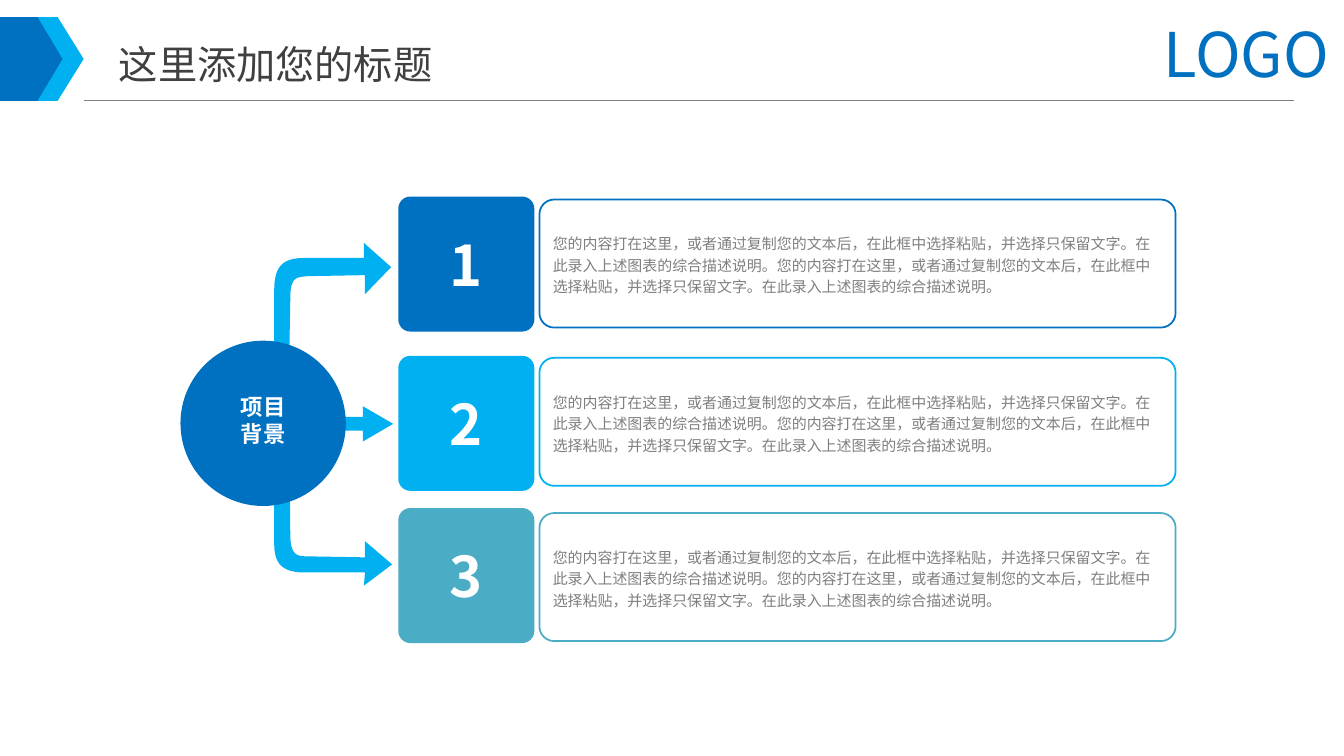
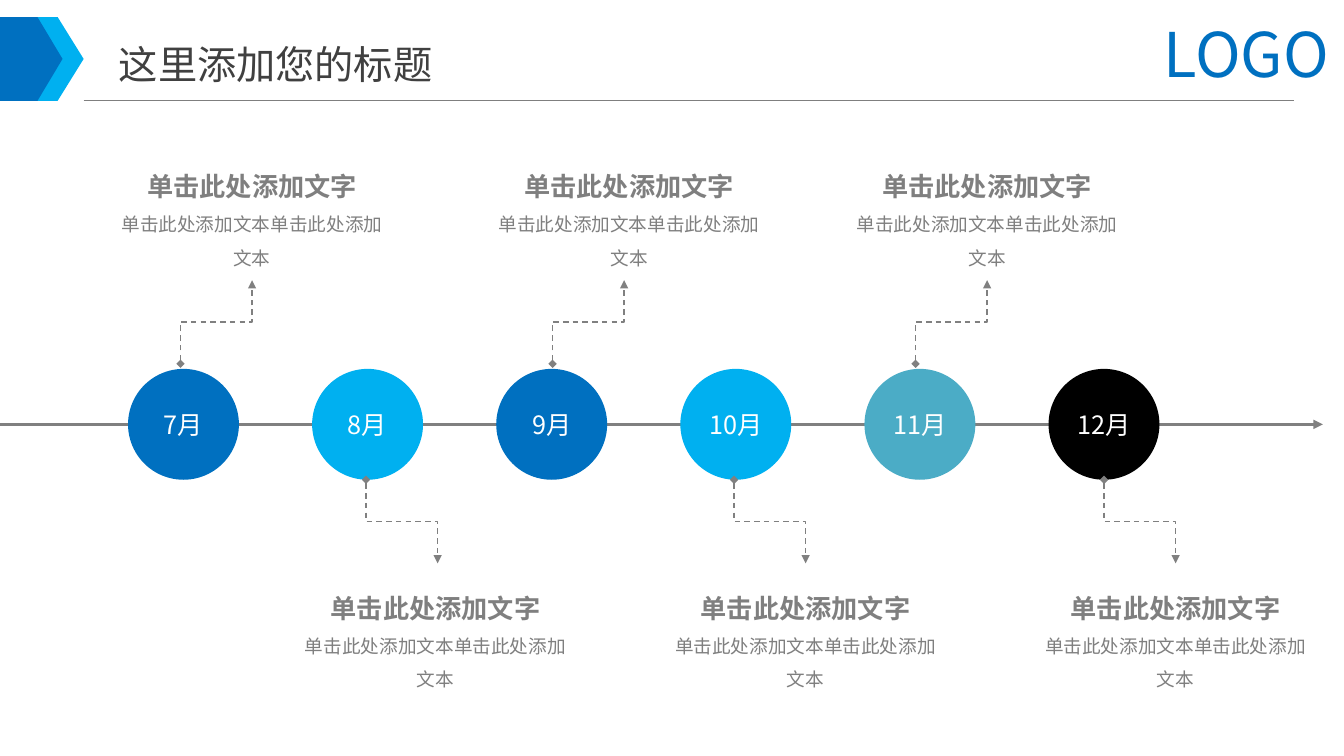
import dataclasses

import lxml.etree
import pptx
import pptx.dml.color
import pptx.enum.dml
import pptx.enum.shapes
import pptx.enum.text
import pptx.oxml.ns
import pptx.util

Inches = pptx.util.Inches
qn = pptx.oxml.ns.qn
SHAPE = pptx.enum.shapes.MSO_SHAPE
CONNECTOR = pptx.enum.shapes.MSO_CONNECTOR
ALIGN = pptx.enum.text.PP_ALIGN
ANCHOR = pptx.enum.text.MSO_ANCHOR


@dataclasses.dataclass(frozen=True)
class Theme:
    blue: str = "0070C0"
    sky: str = "00B0F0"
    teal: str = "4BACC6"
    black: str = "000000"
    white: str = "FFFFFF"
    title: str = "404040"
    text: str = "7F7F7F"
    line: str = "808080"
    font: str = "Noto Sans CJK SC"
    logo_font: str = "Noto Sans CJK KR"
    logo_size: float = 44
    number_size: float = 40
    title_size: float = 28
    heading_size: float = 18.7
    month_size: float = 18
    hub_size: float = 16
    caption_size: float = 13.3
    body_size: float = 10.7


THEME = Theme()

TITLE = "这里添加您的标题"
DESCRIPTION = "您的内容打在这里，或者通过复制您的文本后，在此框中选择粘贴，并选择只保留文字。在此录入上述图表的综合描述说明。" * 2
HEADING = "单击此处添加文字"
CAPTION = "单击此处添加文本" * 2

ROWS = [
    ("1", THEME.blue, 1.95, 1.98),
    ("2", THEME.sky, 3.53, 3.55),
    ("3", THEME.teal, 5.04, 5.09),
]

MONTHS = [
    ("7月", THEME.blue, 1.79, 1.1),
    ("8月", THEME.sky, 3.63, 2.92),
    ("9月", THEME.blue, 5.48, 4.84),
    ("10月", THEME.sky, 7.28, 6.59),
    ("11月", THEME.teal, 9.08, 8.39),
    ("12月", THEME.black, 10.95, 10.26),
]

UPPER_ARROW = [
    (0.14, 1.66), (0.16, 0.54), (0.16, 0.34, 0.22, 0.34, 0.33, 0.33),
    (0.9, 0.32), (0.9, 0.51), (1.16, 0.24), (0.89, 0), (0.89, 0.15),
    (0.29, 0.15), (0.07, 0.15, 0, 0.25, 0, 0.47), (0, 1.68),
]
LOWER_ARROW = [
    (0.15, 0.19), (0.16, 1.16), (0.17, 1.33, 0.23, 1.34, 0.33, 1.34),
    (0.9, 1.35), (0.9, 1.19), (1.17, 1.42), (0.89, 1.63), (0.9, 1.5),
    (0.3, 1.5), (0.08, 1.5, 0, 1.41, 0, 1.22), (0, 0.17),
]


def rgb(color):
    return pptx.dml.color.RGBColor.from_string(color)


def inches(*lengths):
    return [Inches(length) for length in lengths]


def set_frame(shape, anchor=ANCHOR.MIDDLE, margins=(0.1, 0.05, 0.1, 0.05), wrap=True):
    frame = shape.text_frame
    frame.auto_size = pptx.enum.text.MSO_AUTO_SIZE.NONE
    frame.word_wrap = wrap
    frame.vertical_anchor = anchor
    (frame.margin_left, frame.margin_top,
     frame.margin_right, frame.margin_bottom) = inches(*margins)


def add_text(shape, text, *, size, color, bold=False, align=ALIGN.CENTER,
             spacing=1.0, font=THEME.font):
    frame = shape.text_frame
    para = frame.add_paragraph() if frame.text else frame.paragraphs[0]
    para.alignment = align
    para.line_spacing = spacing
    span = para.add_run()
    span.text = text
    span.font.size = pptx.util.Pt(size)
    span.font.bold = bold
    span.font.color.rgb = rgb(color)
    span.font.name = font
    for properties in shape.element.iter(qn("a:rPr")):
        if properties.find(qn("a:ea")) is None:
            lxml.etree.SubElement(properties, qn("a:ea")).set("typeface", font)


def style_shape(shape, fill=None, outline=None):
    shape.shadow.inherit = False
    if fill:
        shape.fill.solid()
        shape.fill.fore_color.rgb = rgb(fill)
    else:
        shape.fill.background()
    if outline:
        shape.line.color.rgb = rgb(outline)
        shape.line.width = pptx.util.Pt(1.25)
    else:
        shape.line.fill.background()


def add_box(page, kind, box, fill=None, outline=None, adjustments=()):
    shape = page.shapes.add_shape(kind, *inches(*box))
    style_shape(shape, fill, outline)
    for index, value in enumerate(adjustments):
        shape.adjustments[index] = value
    return shape


def add_line(page, start, end, *, color, width, kind=CONNECTOR.STRAIGHT,
             dashed=False, head=None, tail=None):
    connector = page.shapes.add_connector(kind, *inches(*start, *end))
    connector.line.color.rgb = rgb(color)
    connector.line.width = pptx.util.Pt(width)
    if dashed:
        connector.line.dash_style = pptx.enum.dml.MSO_LINE.DASH
    properties = connector.element.spPr
    outline = properties.find(qn("a:ln"))
    for tag, arrow in (("a:headEnd", head), ("a:tailEnd", tail)):
        if arrow:
            lxml.etree.SubElement(outline, qn(tag)).set("type", arrow)
    lxml.etree.SubElement(properties, qn("a:effectLst"))
    return connector


def add_vertical_elbow(page, start, end):
    middle_x, middle_y = (start[0] + end[0]) / 2, (start[1] + end[1]) / 2
    half_width, half_height = abs(end[1] - start[1]) / 2, abs(end[0] - start[0]) / 2
    upward = end[1] < start[1]
    rise = half_height if upward else -half_height
    connector = add_line(
        page, (middle_x + half_width, middle_y + rise),
        (middle_x - half_width, middle_y - rise),
        color=THEME.line, width=1, kind=CONNECTOR.ELBOW,
        dashed=True, head="diamond", tail="triangle")
    frame = connector.element.spPr.find(qn("a:xfrm"))
    frame.set("rot", str((90 if upward else 270) * 60000))


def curve_points(start, curve, steps=12):
    x1, y1, x2, y2, x3, y3 = curve
    points = []
    for step in range(1, steps + 1):
        t = step / steps
        weights = ((1 - t) ** 3, 3 * t * (1 - t) ** 2, 3 * t * t * (1 - t), t ** 3)
        points.append(tuple(
            sum(weight * value for weight, value in zip(weights, values))
            for values in ((start[0], x1, x2, x3), (start[1], y1, y2, y3))))
    return points


def add_bent_arrow(page, left, top, outline):
    points = []
    for segment in outline:
        points += [segment] if len(segment) == 2 else curve_points(points[-1], segment)
    placed = [inches(left + x, top + y) for x, y in points]
    builder = page.shapes.build_freeform(*placed[0], scale=1.0)
    builder.add_line_segments(placed[1:], close=True)
    style_shape(builder.convert_to_shape(), THEME.sky)


def share_header(layout, page):
    for placeholder in list(layout.placeholders)[1:]:
        layout.shapes.element.remove(placeholder.element)
    logo = page.shapes.add_textbox(*inches(11.44, 0.11, 1.89, 0.84))
    set_frame(logo, ANCHOR.TOP, wrap=False)
    add_text(logo, "LOGO", size=THEME.logo_size, color=THEME.blue,
             align=ALIGN.LEFT, font=THEME.logo_font)
    parts = [
        add_box(page, SHAPE.PENTAGON, (0, 0.17, 0.83, 0.83), THEME.sky, adjustments=[0.31]),
        add_box(page, SHAPE.PENTAGON, (0, 0.17, 0.62, 0.83), THEME.blue, adjustments=[0.4]),
        add_line(page, (0.83, 1), (12.83, 1), color=THEME.text, width=0.75),
        logo,
    ]
    for part in parts:
        layout.shapes.element.append(part.element)


def set_title(page, text):
    title = page.shapes.title
    title.left, title.top, title.width, title.height = inches(1.08, 0.35, 5.38, 0.57)
    set_frame(title, ANCHOR.TOP)
    add_text(title, text, size=THEME.title_size, color=THEME.title, align=ALIGN.LEFT)


def add_hub(page, left, top, size):
    middle = top + size / 2
    add_bent_arrow(page, left + 0.93, middle + -0.02, LOWER_ARROW)
    add_box(page, SHAPE.RIGHT_ARROW, (left + 0.72, middle - 0.17, 1.39, 0.35),
            THEME.sky, adjustments=[0.39, 0.86])
    add_bent_arrow(page, left + 0.93, middle - 1.79, UPPER_ARROW)
    hub = add_box(page, SHAPE.OVAL, (left, top, size, size), THEME.blue)
    set_frame(hub, margins=(0, 0, 0, 0.06))
    for text in ("项目", "背景"):
        add_text(hub, text, size=THEME.hub_size, color=THEME.white, bold=True)


def add_row(page, left, number, color, tile_top, card_top):
    card = add_box(page, SHAPE.ROUNDED_RECTANGLE, (left + 1.4, card_top, 6.31, 1.27),
                   outline=color, adjustments=[0.115])
    set_frame(card, margins=(0.09, 0.04, 0.09, 0.04))
    add_text(card, DESCRIPTION, size=THEME.body_size, color=THEME.text,
             align=ALIGN.LEFT, spacing=1.2)
    tile = add_box(page, SHAPE.ROUNDED_RECTANGLE, (left, tile_top, 1.35, 1.34),
                   color, adjustments=[0.09])
    set_frame(tile)
    add_text(tile, number, size=THEME.number_size, color=THEME.white, bold=True)


def add_callout(page, left, top):
    callout = page.shapes.add_textbox(*inches(left, top, 2.8, 1.18))
    set_frame(callout, ANCHOR.TOP)
    add_text(callout, HEADING, size=THEME.heading_size, color=THEME.text,
             bold=True, spacing=1.3)
    add_text(callout, CAPTION, size=THEME.caption_size, color=THEME.text, spacing=1.5)


def build_background(page):
    set_title(page, TITLE)
    add_hub(page, 1.79, 3.38, 1.64)
    for row in ROWS:
        add_row(page, 3.95, *row)


def build_timeline(page, left=1.27, top=3.66, size=1.1, last=10.4):
    set_title(page, TITLE)
    middle = top + size / 2
    add_line(page, (0, middle), (13.12, middle), color=THEME.line, width=2.25,
             tail="triangle")
    step = (last - left) / (len(MONTHS) - 1)
    for index, (label, color, lead, callout_left) in enumerate(MONTHS):
        month = add_box(page, SHAPE.OVAL, (left + index * step, top, size, size), color)
        set_frame(month, margins=(0, 0.05, 0, 0.05))
        add_text(month, label, size=THEME.month_size, color=THEME.white)
        above = index % 2 == 0
        start = top - 0.05 if above else top + size
        end = start - 0.83 if above else start + 0.83
        add_vertical_elbow(page, (lead, start), (lead + 0.71, end))
        add_callout(page, callout_left, 1.55 if above else 5.73)


def main():
    deck = pptx.Presentation()
    deck.slide_width, deck.slide_height = inches(13.33, 7.5)
    layout = deck.slide_layouts[5]
    pages = [deck.slides.add_slide(layout) for _ in range(2)]
    share_header(layout, pages[0])
    for build, page in zip((build_background, build_timeline), pages):
        build(page)
    deck.save("out.pptx")


if __name__ == "__main__":
    main()
